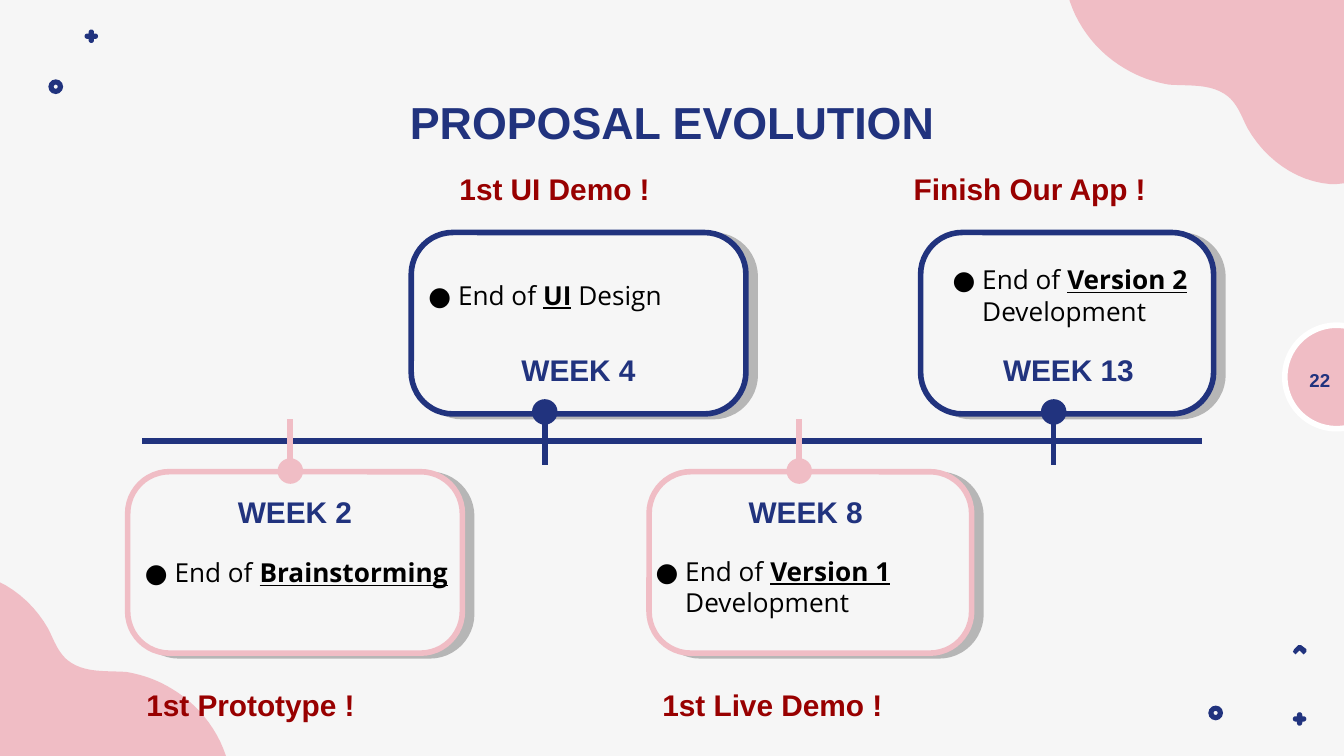
import math

import pptx
import pptx.dml.color
import pptx.enum.shapes
import pptx.enum.text
import pptx.oxml
import pptx.oxml.ns
import pptx.util
from pptx.util import Inches

SHAPE = pptx.enum.shapes.MSO_SHAPE
ALIGN = pptx.enum.text.PP_ALIGN
ANCHOR = pptx.enum.text.MSO_ANCHOR
A_NS = pptx.oxml.ns.nsdecls("a")


class Theme:
    paper = "F6F6F6"
    navy = "21337E"
    pink = "F0BDC5"
    white = "FFFFFF"
    black = "000000"
    red = "980000"
    heading_font = "Arial"
    body_font = "Open Sans"
    title = 24
    heading = 16
    body = 14
    page = 10
    stroke = 3


def rgb(value):
    return pptx.dml.color.RGBColor.from_string(value)


def write(box, runs, size, color, font=Theme.heading_font, align=ALIGN.CENTER, bullet=False):
    """Fill a box with one paragraph; runs are (text, format values) pairs."""
    frame = box.text_frame
    frame.word_wrap = True
    frame.auto_size = pptx.enum.text.MSO_AUTO_SIZE.NONE
    frame.vertical_anchor = ANCHOR.MIDDLE
    for side in ("left", "right", "top", "bottom"):
        setattr(frame, f"margin_{side}", Inches(0.1))
    paragraph = frame.paragraphs[0]
    paragraph.alignment = align
    if bullet:
        properties = paragraph._p.get_or_add_pPr()
        properties.set("marL", str(Inches(0.25)))
        properties.set("indent", str(Inches(-0.22)))
        for element in (f'<a:buClr {A_NS}><a:srgbClr val="{Theme.black}"/></a:buClr>',
                        f'<a:buSzPts {A_NS} val="{size * 100}"/>',
                        f'<a:buFont {A_NS} typeface="{font}"/>',
                        f'<a:buChar {A_NS} char="●"/>'):
            properties.append(pptx.oxml.parse_xml(element))
    for text, formats in runs:
        run = paragraph.add_run()
        run.text = text
        run.font.color.rgb = rgb(color)
        base = {"name": font, "size": pptx.util.Pt(size), "bold": False}
        for name, value in {**base, **formats}.items():
            setattr(run.font, name, value)


BOLD = {"bold": True}
KEY = {"bold": True, "underline": True}

deck = pptx.Presentation()
deck.slide_width, deck.slide_height = Inches(10), Inches(10 * 9 / 16)
slide = deck.slides.add_slide(deck.slide_layouts[5])
slide.background.fill.solid()
slide.background.fill.fore_color.rgb = rgb(Theme.paper)
shapes = slide.shapes
painted = []  # (shape, fill, line)

# Corner blob as Bezier curves (two controls, end), then its straight edges
blob_start = (-0.3, 4.26)
blob_curves = [
    ((-0.29, 4.26), (-0.28, 4.26), (-0.26, 4.26)),
    ((0, 4.28), (0.23, 4.45), (0.36, 4.68)),
    ((0.4, 4.76), (0.43, 4.85), (0.5, 4.91)),
    ((0.62, 5.01), (0.79, 4.99), (0.94, 5)),
    ((1.06, 5.02), (1.17, 5.06), (1.27, 5.12)),
    ((1.46, 5.23), (1.61, 5.41), (1.68, 5.62)),
    ((1.7, 5.69), (1.71, 5.75), (1.72, 5.81)),
]
blob = [blob_start]
for control_1, control_2, end in blob_curves:
    start = blob[-1]
    for step in range(1, 13):
        t = step / 12
        blob.append(tuple(
            (1 - t) ** 3 * a + 3 * (1 - t) ** 2 * t * b + 3 * (1 - t) * t ** 2 * c + t ** 3 * d
            for a, b, c, d in zip(start, control_1, control_2, end)))
blob += [(-0.49, 5.81), (-0.49, 4.28)]
opposite_blob = [(9.64 - x, 5.63 - y) for x, y in blob]

# Plus sign around its centre: four arms with round ends
plus = []
for arm in range(4):
    turn = arm * math.pi / 2
    tip = [(0.03 + 0.02 * math.cos(s * math.pi / 8), 0.02 * math.sin(s * math.pi / 8))
           for s in range(-4, 5)]
    for x, y in tip + [(0.02, 0.02)]:
        plus.append((x * math.cos(turn) - y * math.sin(turn),
                     x * math.sin(turn) + y * math.cos(turn)))
plus_signs = [[(cx + x, cy + y) for x, y in plus] for cx, cy in ((0.68, 0.27), (9.67, 5.35))]
chevron = [(9.62, 4.85), (9.63, 4.83), (9.66, 4.8), (9.68, 4.8), (9.72, 4.83), (9.72, 4.85),
           (9.7, 4.87), (9.69, 4.86), (9.67, 4.84), (9.65, 4.86), (9.64, 4.87), (9.63, 4.86)]

outlines = [(opposite_blob, Theme.pink), (blob, Theme.pink), (chevron, Theme.navy)]
outlines += [(sign, Theme.navy) for sign in plus_signs]
for points, color in outlines:
    corners = [(Inches(x), Inches(y)) for x, y in points]
    builder = shapes.build_freeform(*corners[0])
    builder.add_line_segments(corners[1:], close=True)
    painted.append((builder.convert_to_shape(), color, None))

for left, top in ((0.36, 0.59), (8.99, 5.25)):
    ring = shapes.add_shape(SHAPE.DONUT, Inches(left), Inches(top), Inches(0.11), Inches(0.11))
    ring.adjustments[0] = 0.36
    painted.append((ring, Theme.navy, None))

page_badge = shapes.add_shape(SHAPE.OVAL, Inches(9.56), Inches(2.42), Inches(0.77), Inches(0.77))
painted.append((page_badge, Theme.pink, Theme.white))
page_number = shapes.add_textbox(Inches(9.52), Inches(2.61), Inches(0.6), Inches(0.43))
write(page_number, [("22", BOLD)], Theme.page, Theme.navy)

title = shapes.title
title.left, title.top, title.width, title.height = map(Inches, (0.78, 0.59, 8.44, 0.63))
write(title, [("PROPOSAL EVOLUTION", BOLD)], Theme.title, Theme.navy)

# Timeline: vertical places of a milestone above and below the axis
above = {"color": Theme.navy, "card": 1.73, "stem": (2.98, 3.46), "dot": 2.97,
         "week": 2.58, "body": 1.84, "headline": 1.12}
below = {"color": Theme.pink, "card": 3.51, "stem": (3.12, 3.59), "dot": 3.41,
         "week": 3.64, "body": 4.01, "headline": 4.96}
# week, side, card, text and headline as (left, width), body height, key term, rest, headline
milestones = [
    ("WEEK 2", below, (0.95, 2.49), (0.95, 2.49), (0.99, 2.33), 0.5,
     "Brainstorming", "", "1st Prototype !"),
    ("WEEK 4", above, (3.06, 2.49), (3.06, 2.49), (3.32, 2.08), 0.71,
     "UI", " Design", "1st UI Demo !"),
    ("WEEK 8", below, (4.83, 2.4), (4.75, 2.49), (4.83, 2.4), 0.71,
     "Version 1", " Development", "1st Live Demo !"),
    ("WEEK 13", above, (6.85, 2.18), (6.96, 1.98), (6.7, 2.49), 0.71,
     "Version 2", " Development", "Finish Our App !"),
]
lines = [((1.06, 3.28), (8.94, 3.28), Theme.navy)]
cards = []
for week, side, (left, width), *_ in milestones:
    card = shapes.add_shape(SHAPE.ROUNDED_RECTANGLE, Inches(left), Inches(side["card"]),
                            Inches(width), Inches(1.35))
    card.adjustments[0] = 0.23
    cards.append(card)
    painted.append((card, Theme.paper, side["color"]))

stems = [2.16 + 5.68 * index / 3 for index in range(4)]
for x, (week, side, *_) in zip(stems, milestones):
    top, bottom = side["stem"]
    lines.append(((x, top), (x, bottom), side["color"]))
for start, end, color in lines:
    line = shapes.add_connector(pptx.enum.shapes.MSO_CONNECTOR.STRAIGHT,
                                *map(Inches, start + end))
    line.line.color.rgb = rgb(color)
    line.line.width = pptx.util.Pt(Theme.stroke)
    line._element.spPr.append(pptx.oxml.parse_xml(f"<a:effectLst {A_NS}/>"))

for x, milestone in zip(stems, milestones):
    week, side, _, (left, width), (head_left, head_width), height, key, rest, headline = milestone
    dot = shapes.add_shape(SHAPE.OVAL, Inches(x - 0.19 / 2), Inches(side["dot"]),
                           Inches(0.19), Inches(0.19))
    painted.append((dot, side["color"], None))
    body_box = shapes.add_textbox(Inches(left), Inches(side["body"]), Inches(width), Inches(height))
    runs = [("End of ", {}), (key, KEY)] + ([(rest, {})] if rest else [])
    write(body_box, runs, Theme.body, Theme.black, Theme.body_font, ALIGN.LEFT, bullet=True)
    week_box = shapes.add_textbox(Inches(left), Inches(side["week"]), Inches(width), Inches(0.34))
    write(week_box, [(week, BOLD)], Theme.heading, Theme.navy)
    headline_box = shapes.add_textbox(Inches(head_left), Inches(side["headline"]),
                                      Inches(head_width), Inches(0.56))
    write(headline_box, [(headline, BOLD)], Theme.heading, Theme.red, align=ALIGN.LEFT)

for shape, fill, stroke in painted:
    shape.shadow.inherit = False
    shape.fill.solid()
    shape.fill.fore_color.rgb = rgb(fill)
    if stroke:
        shape.line.color.rgb = rgb(stroke)
        shape.line.width = pptx.util.Pt(Theme.stroke)
    else:
        shape.line.fill.background()

for card in cards:
    effects = card._element.spPr.find(pptx.oxml.ns.qn("a:effectLst"))
    effects.append(pptx.oxml.parse_xml(
        f'<a:outerShdw {A_NS} dist="{pptx.util.Pt(5.2)}" dir="{16 * 60000}" algn="bl" '
        f'rotWithShape="0"><a:srgbClr val="{Theme.black}"><a:alpha val="26000"/>'
        '</a:srgbClr></a:outerShdw>'))

deck.save("out.pptx")
